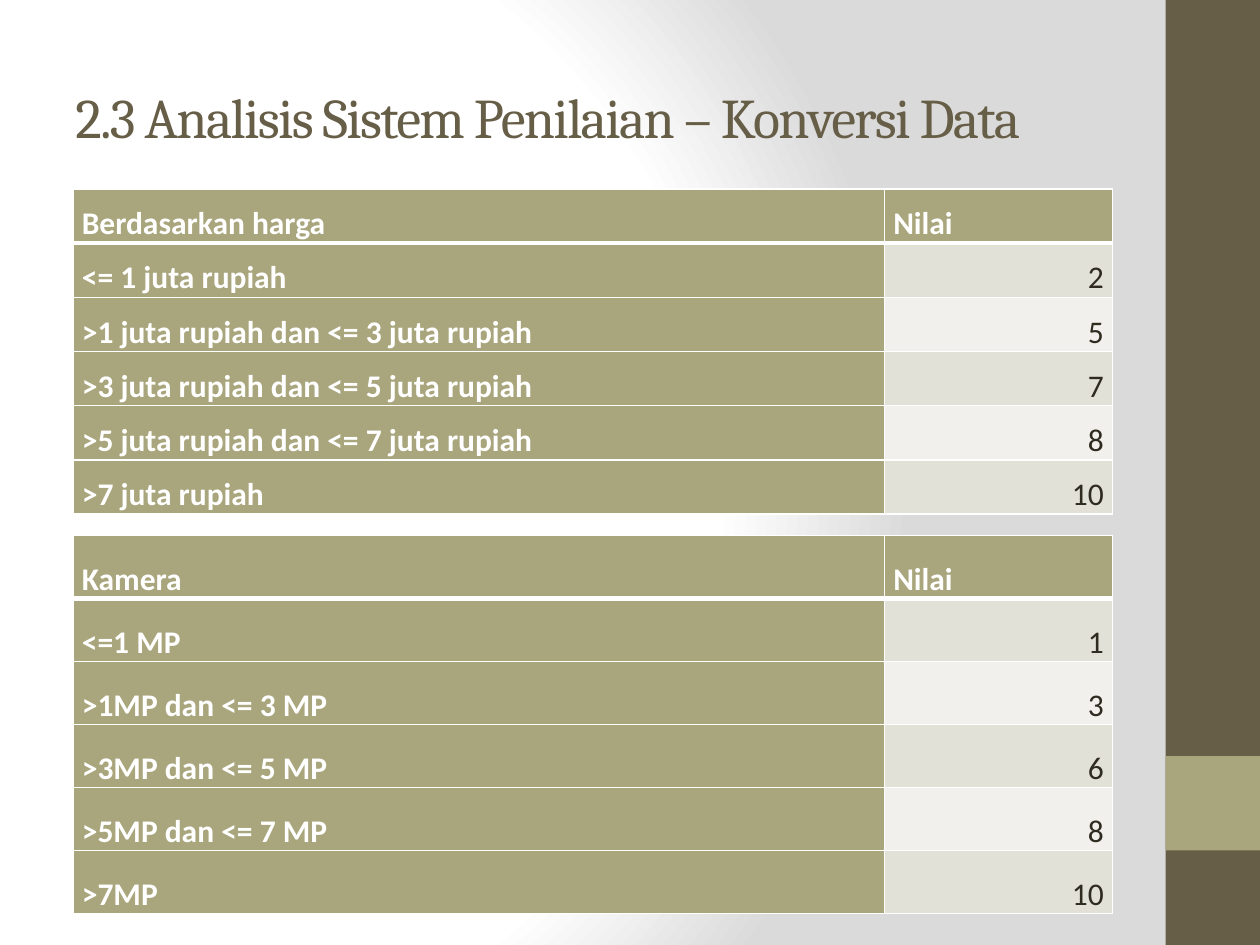
from lxml import etree
from pptx import Presentation
from pptx.dml.color import RGBColor
from pptx.enum.shapes import MSO_SHAPE
from pptx.enum.text import MSO_ANCHOR, PP_ALIGN
from pptx.oxml import parse_xml
from pptx.oxml.ns import nsdecls, qn
from pptx.util import Inches, Pt

BROWN, OLIVE, WHITE, INK = "675E47", "A9A57C", "FFFFFF", "2F2B20"
BANDS = ("E2E1D7", "F1F0EC")

PRICES = [
    ("Berdasarkan harga", "Nilai"),
    ("<= 1 juta rupiah", "2"),
    (">1 juta rupiah dan <= 3 juta rupiah", "5"),
    (">3 juta rupiah dan <= 5 juta rupiah", "7"),
    (">5 juta rupiah dan <= 7 juta rupiah", "8"),
    (">7 juta rupiah", "10"),
]
CAMERAS = [
    ("Kamera", "Nilai"),
    ("<=1 MP", "1"),
    (">1MP dan <= 3 MP", "3"),
    (">3MP dan <= 5 MP", "6"),
    (">5MP dan <= 7 MP", "8"),
    (">7MP", "10"),
]


def rgb(value):
    return RGBColor.from_string(value)


class SlideBuilder:
    """Draws styled elements on the current slide."""

    heading_font = "Cambria"
    body_font = "Calibri"

    def __init__(self, s):
        self.s = s

    def background(self, stops):
        gs = "".join(f'<a:gs pos="{pos * 1000}"><a:srgbClr val="{color}"/></a:gs>'
                     for pos, color in stops)
        bg = parse_xml(
            f'<p:bg {nsdecls("p", "a")}><p:bgPr><a:gradFill rotWithShape="1">'
            f'<a:gsLst>{gs}</a:gsLst><a:path path="circle">'
            '<a:fillToRect l="20000" t="50000" r="100000" b="50000"/></a:path>'
            '</a:gradFill><a:effectLst/></p:bgPr></p:bg>')
        self.s.element.cSld.insert(0, bg)

    def rect(self, x, y, w, h, color):
        sp = self.s.shapes.add_shape(
            MSO_SHAPE.RECTANGLE, Inches(x), Inches(y), Inches(w), Inches(h))
        sp.shadow.inherit = False
        sp.fill.solid()
        sp.fill.fore_color.rgb = rgb(color)
        sp.line.fill.background()

    def title(self, text, x, y, w, h):
        sp = self.s.shapes.add_textbox(Inches(x), Inches(y), Inches(w), Inches(h))
        tf = sp.text_frame
        tf.word_wrap = True
        tf.vertical_anchor = MSO_ANCHOR.MIDDLE
        p = tf.paragraphs[0]
        r = p.add_run()
        r.text = text
        self.font(p, self.heading_font, 32, BROWN)
        r.font.language_id = None
        r._r.get_or_add_rPr().set("spc", "-100")

    def font(self, p, name, size, color, bold=False):
        p.font.name = name
        p.font.size = Pt(size)
        p.font.bold = bold
        p.font.color.rgb = rgb(color)

    def table(self, rows, x, y, widths, row_height):
        tbl = self.s.shapes.add_table(
            len(rows), len(widths), Inches(x), Inches(y),
            Inches(sum(widths)), Inches(row_height * len(rows))).table
        tbl.first_col = True
        for column, width in zip(tbl.columns, widths):
            column.width = Inches(width)
        for i, row in enumerate(rows):
            tbl.rows[i].height = Inches(row_height)
            for j, text in enumerate(row):
                self.cell(tbl.cell(i, j), text, i, heading=i == 0 or j == 0)

    def cell(self, cell, text, row, heading):
        cell.margin_left = cell.margin_right = Inches(0.07)
        cell.margin_top = cell.margin_bottom = 0
        cell.vertical_anchor = MSO_ANCHOR.BOTTOM
        cell.text = text
        p = cell.text_frame.paragraphs[0]
        p.line_spacing = 1.15
        p.alignment = PP_ALIGN.LEFT if heading else PP_ALIGN.RIGHT
        self.font(p, self.body_font, 18, WHITE if heading else INK, heading)
        self.borders(cell, top=3 if row == 1 else 1, bottom=3 if row == 0 else 1)
        cell.fill.solid()
        cell.fill.fore_color.rgb = rgb(OLIVE if heading else BANDS[(row - 1) % 2])

    def borders(self, cell, top, bottom):
        tc_pr = cell._tc.get_or_add_tcPr()
        for side, width in zip("LRTB", (1, 1, top, bottom)):
            ln = etree.SubElement(tc_pr, qn(f"a:ln{side}"), w=str(Pt(width)))
            fill = etree.SubElement(ln, qn("a:solidFill"))
            etree.SubElement(fill, qn("a:srgbClr"), val=WHITE)


def main():
    prs = Presentation()
    prs.slide_width, prs.slide_height = Inches(10), Inches(7.5)
    slide = SlideBuilder(prs.slides.add_slide(prs.slide_layouts[6]))
    slide.background([(0, WHITE), (75, WHITE), (100, "DADADA")])
    slide.rect(9.25, 0, 0.75, 7.5, BROWN)
    slide.rect(9.25, 6, 0.75, 0.75, OLIVE)
    slide.title("2.3 Analisis Sistem Penilaian – Konversi Data", 0.5, 0.3, 8.33, 1.25)
    for rows, y, row_height in ((PRICES, 1.5, 0.43), (CAMERAS, 4.25, 0.5)):
        slide.table(rows, 0.58, y, (6.44, 1.81), row_height)
    prs.save("out.pptx")


if __name__ == "__main__":
    main()
